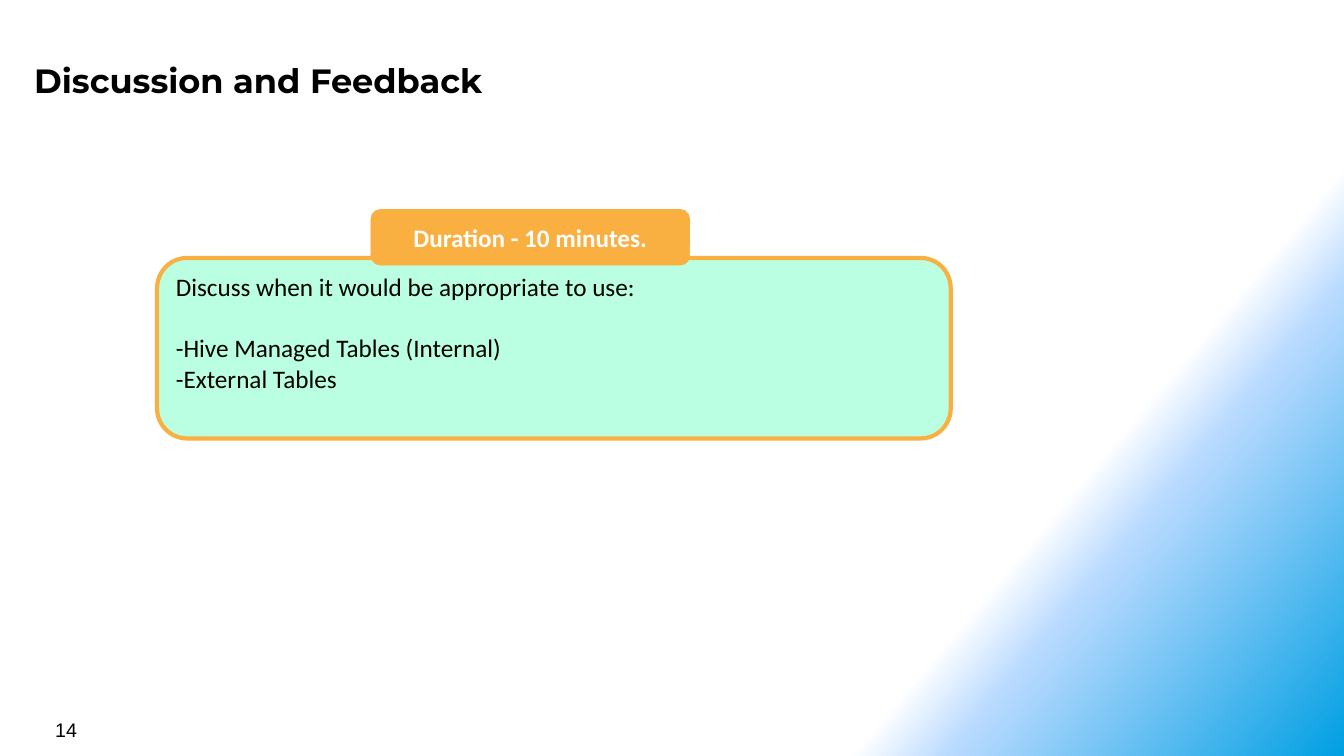
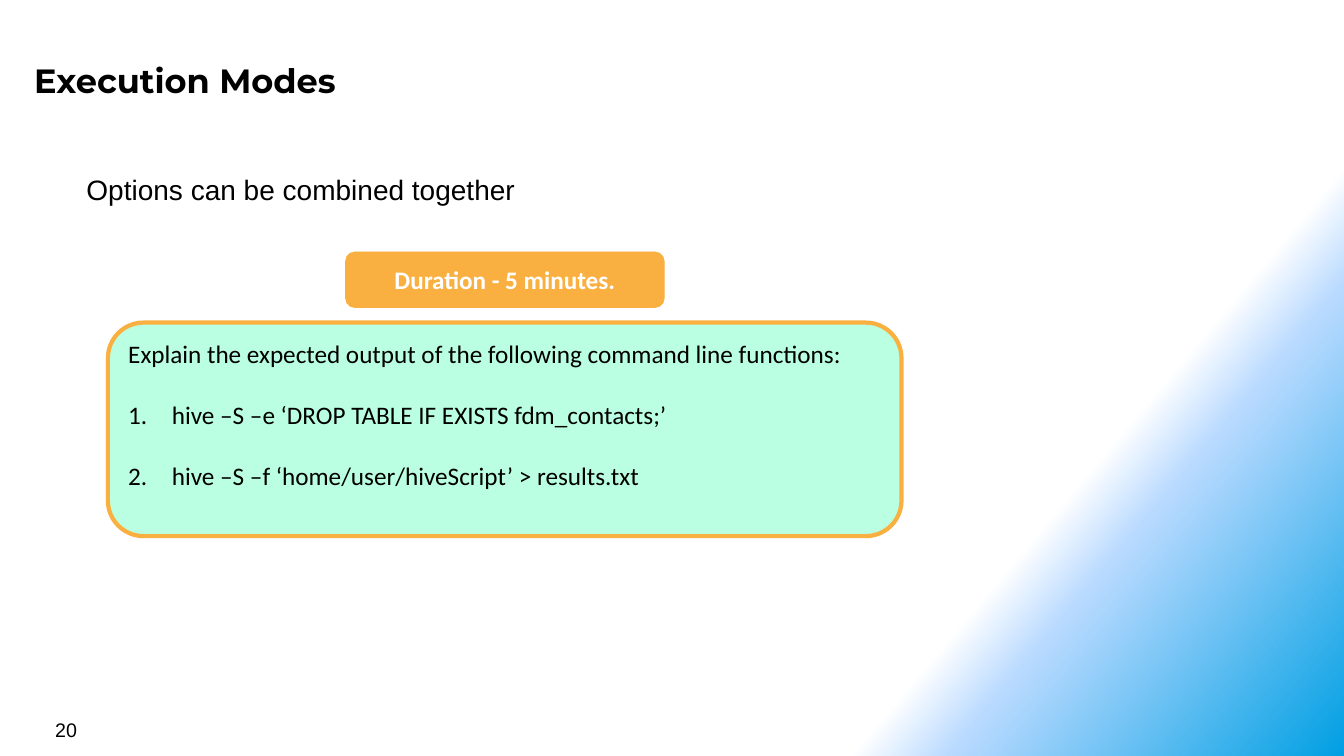
from copy import deepcopy

from pptx import Presentation
from pptx.dml.color import RGBColor
from pptx.enum.shapes import MSO_SHAPE
from pptx.enum.text import MSO_ANCHOR, PP_ALIGN
from pptx.oxml.ns import qn
from pptx.util import Cm, Pt

BLACK, WHITE = "000000", "FFFFFF"
MINT, ORANGE = "BAFFE1", "FAB041"
BACKGROUND_STOPS = [(0.75, WHITE), (0.8, "B9DAFF"), (1, "009FE3")]
BACKGROUND_ANGLE = 40
BODY_FONT, TITLE_FONT, PLAIN_FONT = "Calibri", "Montserrat", "Arial"
BODY_SIZE = 18
LINE_GAP = 22
TASK_WIDTH = 20


def color(value):
    """Turn a hex string into a colour."""
    return RGBColor.from_string(value)


def set_background(master):
    """Give every slide the diagonal gradient."""
    fill = master.background.fill
    fill.gradient()
    fill.gradient_angle = 360 - BACKGROUND_ANGLE
    stop_list = master.element.find(".//" + qn("a:gsLst"))
    stop_list.append(deepcopy(stop_list[-1]))
    for stop, (position, value) in zip(fill.gradient_stops, BACKGROUND_STOPS):
        stop.position = position
        stop.color.rgb = color(value)


def style_paragraph(para, font_name, size, value=BLACK, bold=False):
    """Format all the runs of a paragraph."""
    for span in para.runs:
        span.font.name = font_name
        span.font.size = Pt(size)
        span.font.bold = bold
        span.font.color.rgb = color(value)


def add_text(page, text, left, top, width, height, font_name, size, bold=False):
    """Add a one-line text box and return its frame."""
    box = page.shapes.add_textbox(Cm(left), Cm(top), Cm(width), Cm(height))
    frame = box.text_frame
    frame.word_wrap = True
    frame.text = text
    style_paragraph(frame.paragraphs[0], font_name, size, bold=bold)
    return frame


def add_rounded_box(page, left, top, width, height, fill, line_width):
    """Add an orange-edged rounded rectangle and return its frame."""
    box = page.shapes.add_shape(
        MSO_SHAPE.ROUNDED_RECTANGLE, Cm(left), Cm(top), Cm(width), Cm(height)
    )
    box.shadow.inherit = False
    box.fill.solid()
    box.fill.fore_color.rgb = color(fill)
    box.line.color.rgb = color(ORANGE)
    box.line.width = Pt(line_width)
    box.text_frame.word_wrap = True
    return box.text_frame


def number_paragraph(para):
    """Number a paragraph with a hanging indent."""
    properties = para._p.get_or_add_pPr()
    properties.set("marL", str(Cm(1.1)))
    properties.set("indent", str(-Cm(1.1)))
    numbering = properties.makeelement(qn("a:buAutoNum"), {"type": "arabicPeriod"})
    properties.append(numbering)


def add_task(page, left, top, height, intro, items, numbered=False):
    """Add the mint box with an instruction and its items."""
    frame = add_rounded_box(page, left, top, TASK_WIDTH, height, MINT, 3)
    frame.vertical_anchor = MSO_ANCHOR.TOP
    frame.text = "\n".join([intro, *items])
    for index, para in enumerate(frame.paragraphs):
        para.alignment = PP_ALIGN.LEFT
        if index == 1 or (numbered and index):
            para.space_before = Pt(LINE_GAP)
        if numbered and index:
            number_paragraph(para)
        style_paragraph(para, BODY_FONT, BODY_SIZE)


def add_duration(page, left, top, minutes):
    """Add the orange label with the time allowed."""
    frame = add_rounded_box(page, left, top, 8.03, 1.4, ORANGE, 0.5)
    frame.vertical_anchor = MSO_ANCHOR.MIDDLE
    frame.text = f"Duration - {minutes} minutes."
    para = frame.paragraphs[0]
    para.alignment = PP_ALIGN.CENTER
    style_paragraph(para, BODY_FONT, BODY_SIZE, WHITE, bold=True)


def add_page(deck, title, number):
    """Add a slide with its title and page number."""
    page = deck.slides.add_slide(deck.slide_layouts[6])
    frame = add_text(page, title, 0.66, 1.3, 31.14, 1.4, TITLE_FONT, 24, bold=True)
    frame.margin_left = frame.margin_right = Cm(0.2)
    frame.margin_top = frame.margin_bottom = Cm(0.2)
    add_text(page, str(number), 1.14, 17.96, 7.9, 0.84, PLAIN_FONT, 14)
    return page


def add_discussion(deck):
    """Build the discussion slide."""
    page = add_page(deck, "Discussion and Feedback", 14)
    add_task(
        page, 3.96, 6.5, 4.55,
        "Discuss when it would be appropriate to use:",
        ["-Hive Managed Tables (Internal)", "-External Tables"],
    )
    add_duration(page, 9.35, 5.28, 10)


def add_execution_modes(deck):
    """Build the execution modes slide."""
    page = add_page(deck, "Execution Modes", 20)
    add_text(
        page, "Options can be combined together",
        1.93, 4.22, 20, 1.12, PLAIN_FONT, 20,
    )
    add_task(
        page, 2.72, 8.13, 5.38,
        "Explain the expected output of the following command line functions:",
        [
            "hive –S –e ‘DROP TABLE IF EXISTS fdm_contacts;’",
            "hive –S –f ‘home/user/hiveScript’ > results.txt",
        ],
        numbered=True,
    )
    add_duration(page, 8.71, 6.35, 5)


def main():
    """Build and save the deck."""
    deck = Presentation()
    deck.slide_width, deck.slide_height = Cm(33.87), Cm(19.05)
    set_background(deck.slide_master)
    add_discussion(deck)
    add_execution_modes(deck)
    deck.save("out.pptx")


if __name__ == "__main__":
    main()
